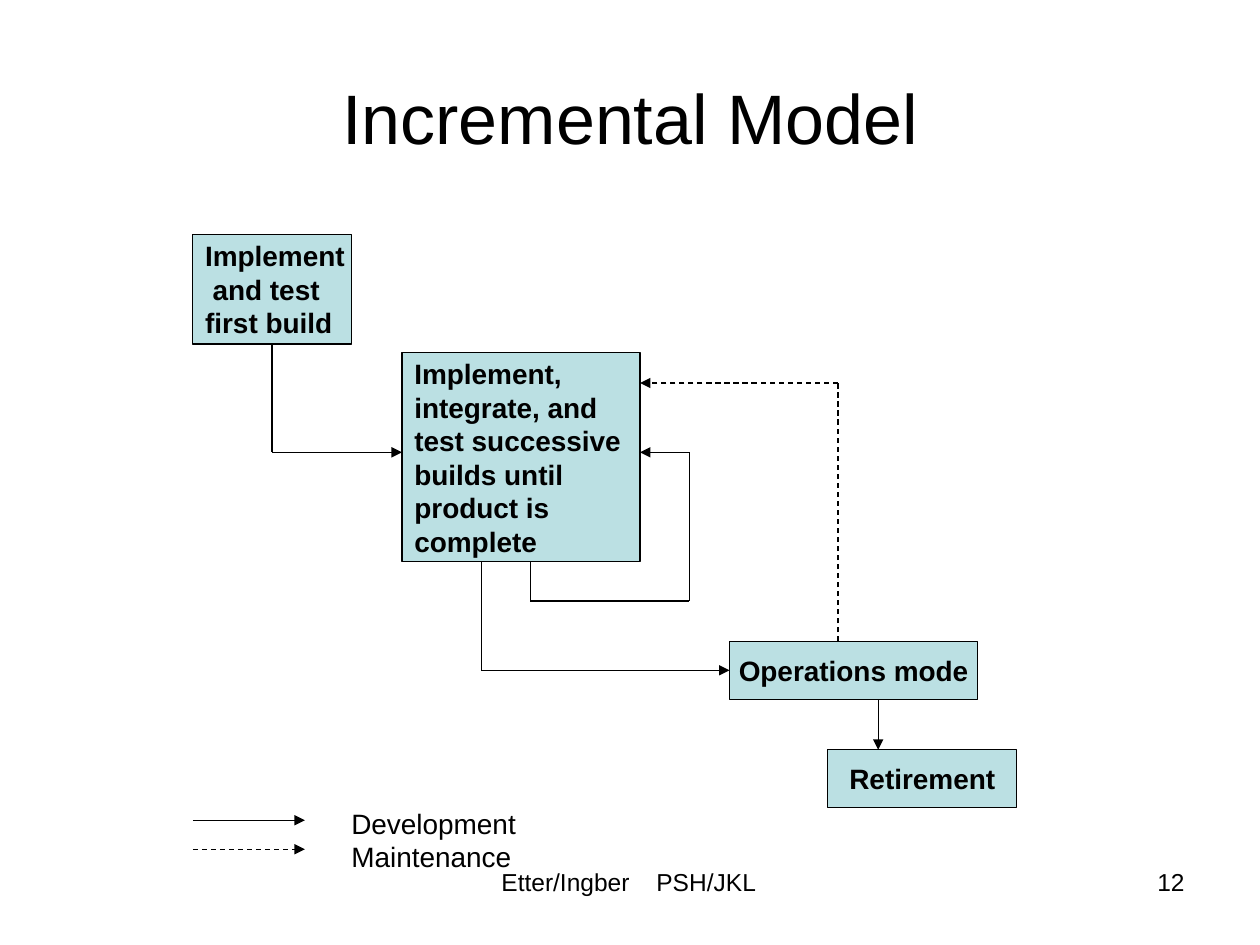
from lxml.etree import SubElement
from pptx import Presentation
from pptx.dml.color import RGBColor
from pptx.enum.dml import MSO_LINE
from pptx.enum.shapes import MSO_CONNECTOR, MSO_SHAPE
from pptx.enum.text import MSO_ANCHOR, PP_ALIGN
from pptx.oxml.ns import qn
from pptx.util import Inches, Pt

BLACK = RGBColor(0x00, 0x00, 0x00)
PALE_TEAL = RGBColor(0xBB, 0xE0, 0xE3)
LEFT, CENTER, RIGHT = PP_ALIGN.LEFT, PP_ALIGN.CENTER, PP_ALIGN.RIGHT


def write(box, lines, size, align=LEFT, bold=False):
    frame = box.text_frame
    frame.text = "\n".join(lines)
    for para in frame.paragraphs:
        para.alignment = align
        para.font.name = "Arial"
        para.font.size = Pt(size)
        para.font.bold = bold
        para.font.color.rgb = BLACK
    return frame


def connect(start, end, dashed=False, arrow=False):
    line = page.shapes.add_connector(
        MSO_CONNECTOR.STRAIGHT, *[Inches(value) for value in start + end]
    )
    line.line.color.rgb = BLACK
    line.line.width = Pt(0.75)
    if dashed:
        line.line.dash_style = MSO_LINE.DASH
    if arrow:
        SubElement(line.line._get_or_add_ln(), qn("a:tailEnd"), type="triangle")
    SubElement(line._element.spPr, qn("a:effectLst"))
    return line


deck = Presentation()
deck.slide_width = Inches(10)
deck.slide_height = Inches(7.5)
page = deck.slides.add_slide(deck.slide_layouts[6])

texts = [
    ((0.5, 0.3, 9, 1.25), ["Incremental Model"], 40, CENTER),
    ((2.69, 6.35, 1.6, 0.64), ["Development", "Maintenance"], 16, LEFT),
    ((3.42, 6.83, 3.17, 0.52), ["Etter/Ingber\tPSH/JKL"], 14, LEFT),
    ((7.17, 6.83, 2.33, 0.52), ["12"], 14, RIGHT),
]
frames = []
for place, lines, size, align in texts:
    box = page.shapes.add_textbox(*[Inches(value) for value in place])
    frame = write(box, lines, size, align)
    frame.word_wrap = True
    frames.append(frame)
title, legend, footer, number = frames
title.vertical_anchor = MSO_ANCHOR.MIDDLE
footer.margin_left = Inches(0.56)
footer_properties = footer.paragraphs[0]._p.get_or_add_pPr()
tabs = footer_properties.makeelement(qn("a:tabLst"))
SubElement(tabs, qn("a:tab"), pos=str(Inches(1.23)), algn="l")
footer_properties.insert(0, tabs)

stages = [
    ((1.53, 1.86, 1.26, 0.87), ["Implement", "and test", "first build"], LEFT),
    (
        (3.19, 2.8, 1.89, 1.66),
        [
            "Implement,",
            "integrate, and",
            "test successive",
            "builds until",
            "product is",
            "complete",
        ],
        LEFT,
    ),
    ((5.79, 5.09, 1.97, 0.46), ["Operations mode"], CENTER),
    ((6.57, 5.95, 1.5, 0.46), ["Retirement"], CENTER),
]
boxes = []
for place, lines, align in stages:
    box = page.shapes.add_shape(
        MSO_SHAPE.RECTANGLE, *[Inches(value) for value in place]
    )
    box.shadow.inherit = False
    box.fill.solid()
    box.fill.fore_color.rgb = PALE_TEAL
    box.line.color.rgb = BLACK
    box.line.width = Pt(0.75)
    frame = write(box, lines, 16, align, bold=True)
    frame.word_wrap = False
    frame.vertical_anchor = MSO_ANCHOR.MIDDLE
    boxes.append(box)
first_build, successive_builds, operations, retirement = boxes
second_line = first_build.text_frame.paragraphs[1]
second_line._p.get_or_add_pPr().set("marL", str(Inches(0.06)))

routes = [
    ([(2.16, 2.73), (2.16, 3.59), (3.19, 3.59)], False),
    ([(3.82, 4.46), (3.82, 5.32), (5.79, 5.32)], False),
    ([(4.21, 4.46), (4.21, 4.77), (5.47, 4.77), (5.47, 3.59), (5.08, 3.59)], False),
    ([(6.65, 5.09), (6.65, 3.04), (5.08, 3.04)], True),
    ([(6.97, 5.55), (6.97, 5.95)], False),
    ([(1.53, 6.51), (2.42, 6.51)], False),
    ([(1.53, 6.74), (2.42, 6.74)], True),
]
drawn = []
for points, dashed in routes:
    drawn.append([
        connect(start, end, dashed, arrow=end == points[-1])
        for start, end in zip(points, points[1:])
    ])
drawn[0][0].begin_connect(first_build, 2)
drawn[1][-1].end_connect(operations, 1)

deck.save("out.pptx")
